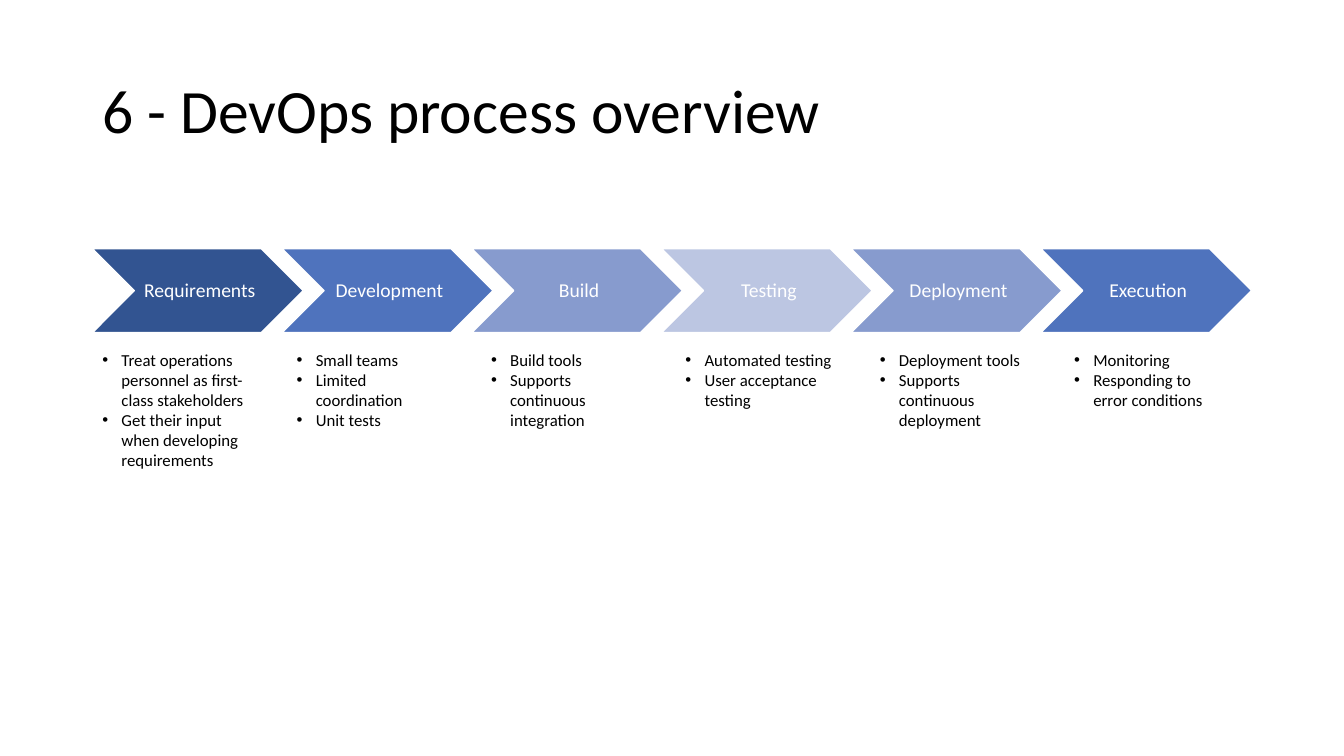
from dataclasses import dataclass

from lxml.etree import SubElement
from pptx import Presentation
from pptx.dml.color import RGBColor
from pptx.enum.shapes import MSO_SHAPE
from pptx.enum.text import MSO_ANCHOR, MSO_AUTO_SIZE, PP_ALIGN
from pptx.oxml.ns import qn
from pptx.util import Inches, Pt

CELL = Inches(1) // 12
GRID_COLUMNS, GRID_ROWS = 160, 90


@dataclass(frozen=True)
class Theme:
    font: str = "Calibri"
    ink: str = "000000"
    paper: str = "FFFFFF"
    navy: str = "325491"
    blue: str = "4F73BD"
    soft: str = "879BCE"
    pale: str = "BCC6E2"
    title_size: int = 44
    stage_size: int = 14
    list_size: int = 12


@dataclass(frozen=True)
class Box:
    column: float
    row: float
    columns: float
    rows: float

    def place(self):
        return [round(value * CELL) for value in (self.column, self.row, self.columns, self.rows)]

    def spread(self, count, width):
        pitch = (self.columns - width) / (count - 1)
        return [Box(self.column + index * pitch, self.row, width, self.rows) for index in range(count)]


@dataclass(frozen=True)
class Stage:
    name: str
    color: str
    points: tuple
    lines: int


THEME = Theme()
STAGES = [
    Stage("Requirements", THEME.navy,
          ("Treat operations personnel as first-class stakeholders",
           "Get their input when developing requirements"), 6),
    Stage("Development", THEME.blue, ("Small teams", "Limited coordination", "Unit tests"), 4),
    Stage("Build", THEME.soft, ("Build tools", "Supports continuous integration"), 4),
    Stage("Testing", THEME.pale, ("Automated testing", "User acceptance testing"), 3),
    Stage("Deployment", THEME.soft, ("Deployment tools", "Supports continuous deployment"), 4),
    Stage("Execution", THEME.blue, ("Monitoring", "Responding to error conditions"), 3),
]


def add_bullet(paragraph):
    properties = paragraph._p.get_or_add_pPr()
    indent = Inches(0.19)
    properties.set("marL", str(indent))
    properties.set("indent", str(-indent))
    SubElement(properties, qn("a:buFont")).set("typeface", "Arial")
    SubElement(properties, qn("a:buChar")).set("char", "•")


def write_text(frame, *texts, size, color=THEME.ink, align=PP_ALIGN.LEFT, spacing=1.0, bullet=False):
    frame.word_wrap = True
    for index, text in enumerate(texts):
        paragraph = frame.add_paragraph() if index else frame.paragraphs[0]
        paragraph.alignment = align
        paragraph.line_spacing = spacing
        if bullet:
            add_bullet(paragraph)
        run = paragraph.add_run()
        run.text = text
        run.font.name = THEME.font
        run.font.size = Pt(size)
        run.font.color.rgb = RGBColor.from_string(color)


def add_title(slide, box, text):
    title = slide.shapes.title
    title.left, title.top, title.width, title.height = box.place()
    frame = title.text_frame
    frame.auto_size = MSO_AUTO_SIZE.NONE
    frame.vertical_anchor = MSO_ANCHOR.MIDDLE
    write_text(frame, text, size=THEME.title_size, spacing=0.9)


def add_stage_chain(slide, box, stages):
    group = slide.shapes.add_group_shape()
    for stage, slot in zip(stages, box.spread(len(stages), 25.1)):
        chevron = group.shapes.add_shape(MSO_SHAPE.CHEVRON, *slot.place())
        chevron.shadow.inherit = False
        chevron.fill.solid()
        chevron.fill.fore_color.rgb = RGBColor.from_string(stage.color)
        chevron.line.color.rgb = RGBColor.from_string(THEME.paper)
        chevron.line.width = Pt(1)
        frame = chevron.text_frame
        frame.margin_left = Inches(0.06)
        frame.margin_top = frame.margin_right = frame.margin_bottom = Inches(0.02)
        frame.vertical_anchor = MSO_ANCHOR.MIDDLE
        write_text(frame, stage.name, size=THEME.stage_size, color=THEME.paper,
                   align=PP_ALIGN.CENTER, spacing=0.9)


def add_stage_lists(slide, box, stages):
    for stage, slot in zip(stages, box.spread(len(stages), 19.9)):
        fitted = Box(slot.column, slot.row, slot.columns, 1.3 + 2.4 * stage.lines)
        frame = slide.shapes.add_textbox(*fitted.place()).text_frame
        frame.auto_size = MSO_AUTO_SIZE.SHAPE_TO_FIT_TEXT
        write_text(frame, *stage.points, size=THEME.list_size, bullet=True)


def main():
    presentation = Presentation()
    presentation.slide_width = GRID_COLUMNS * CELL
    presentation.slide_height = GRID_ROWS * CELL
    slide = presentation.slides.add_slide(presentation.slide_layouts.get_by_name("Title Only"))
    add_title(slide, Box(11, 4.8, 138, 17.4), "6 - DevOps process overview")
    add_stage_chain(slide, Box(11, 29.6, 138, 10), STAGES)
    add_stage_lists(slide, Box(11, 41, 135.6, 15.7), STAGES)
    presentation.save("out.pptx")


main()
